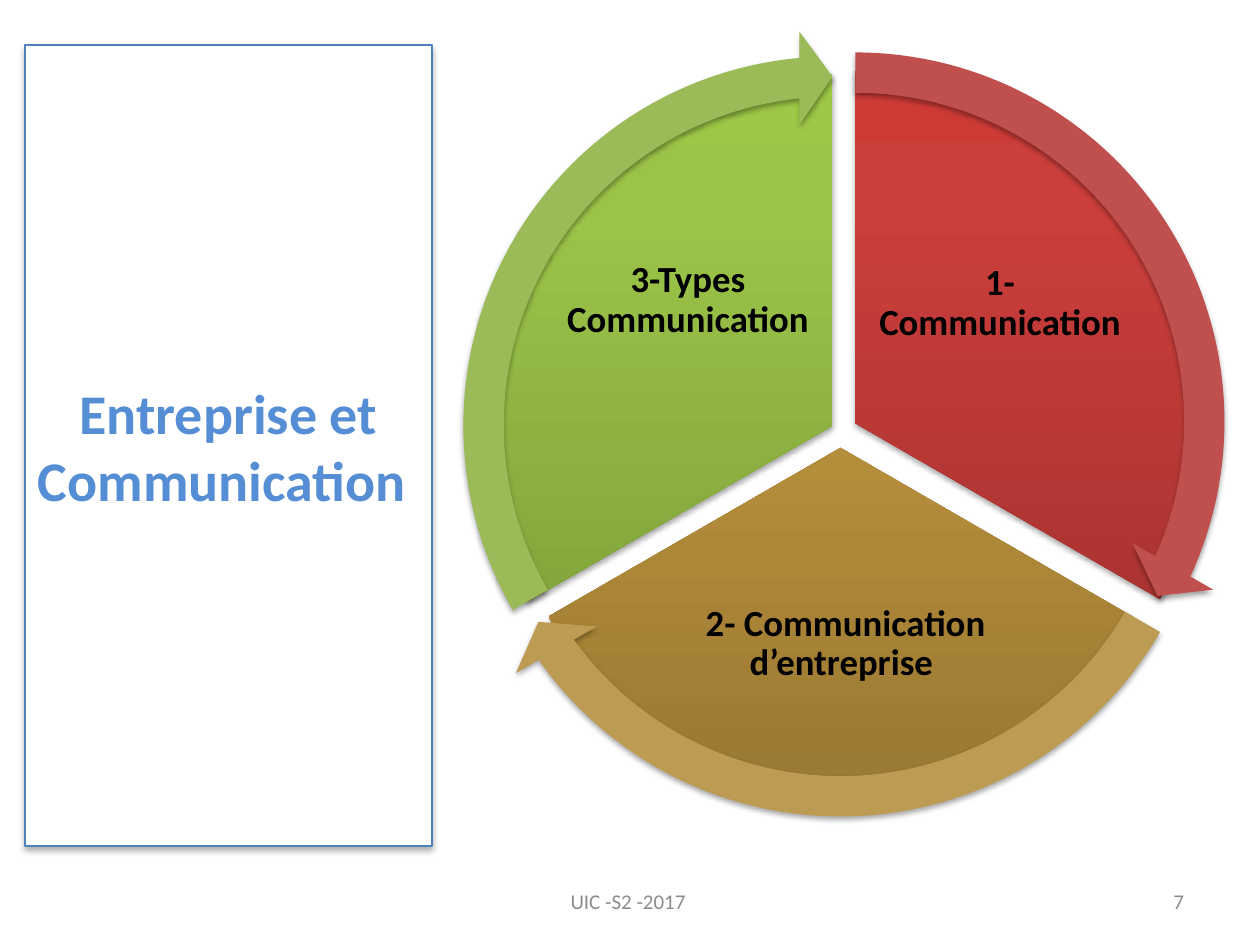
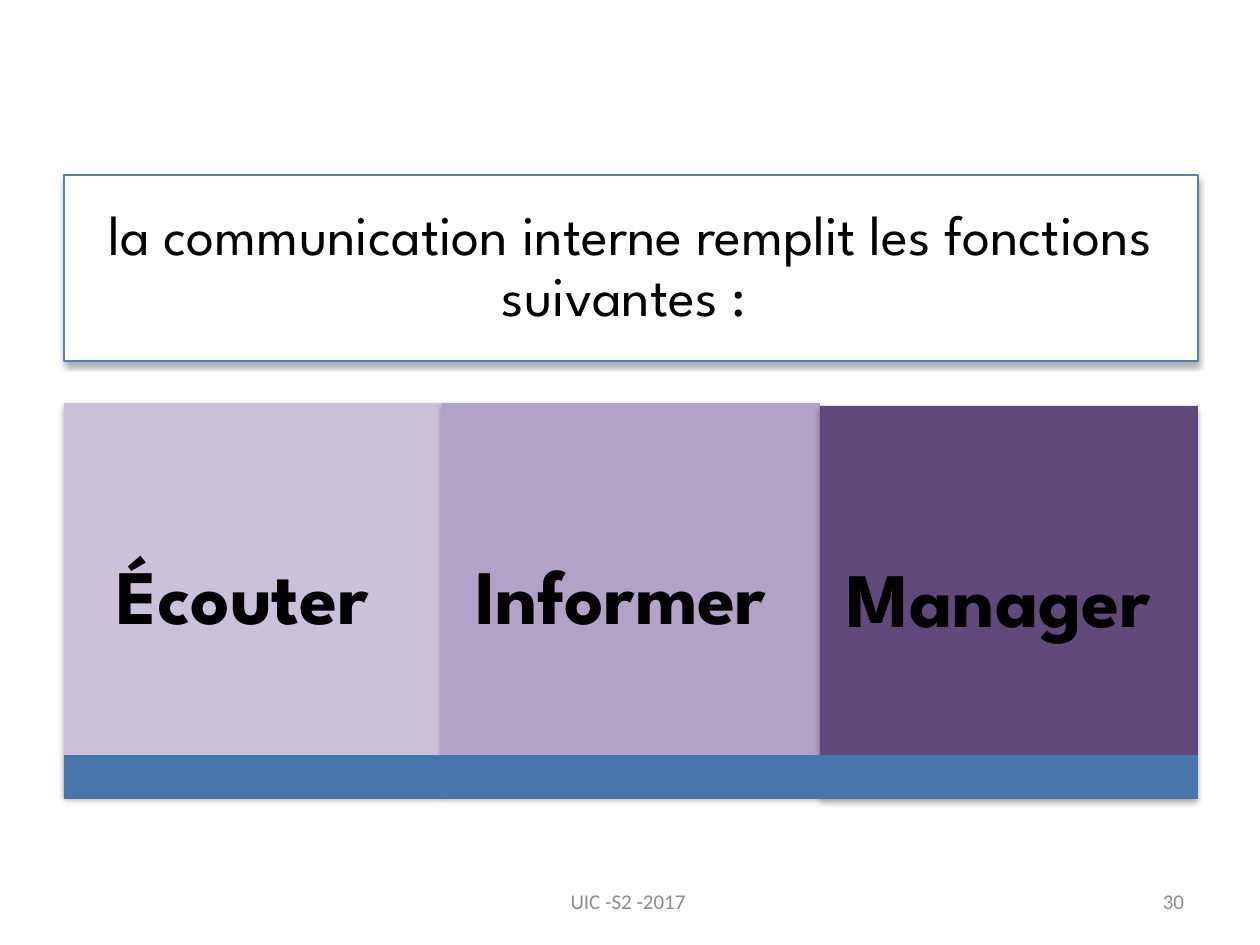
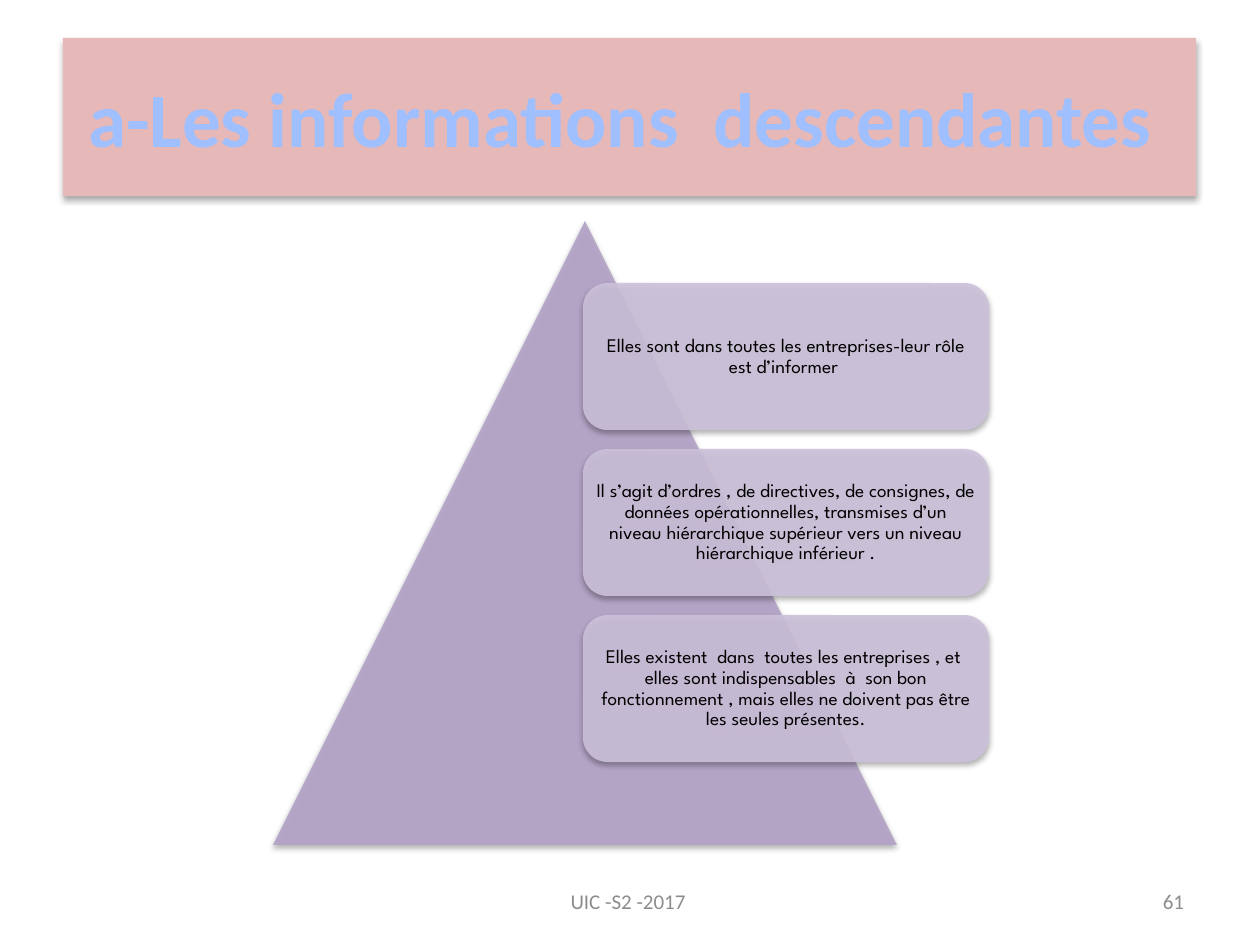
"""Build three slides on business communication."""
import copy

import pptx
import pptx.dml.color
import pptx.enum.shapes
import pptx.enum.text
import pptx.oxml.ns
import pptx.util
from lxml import etree

PX = 914400 / 126
C = {
    "white": "FFFFFF", "black": "000000", "grey": "8C8C8C",
    "border": "4F81BD", "title": "558ED5", "bar": "4875AC",
    "pink": "E6B9B8", "sky": "9FBFFF",
    "lilac": "CCC1DA", "mauve": "B3A2C7", "plum": "604A7B",
    "red": "C0504D", "ochre": "BD9B53", "green": "9BBB59",
}
BODY, DISPLAY = "Calibri", "League Spartan"
SHAPE = pptx.enum.shapes.MSO_SHAPE
ALIGN = pptx.enum.text.PP_ALIGN
RGB = pptx.dml.color.RGBColor.from_string
qn = pptx.oxml.ns.qn


def add_shape(s, kind, box, fill=None, line=None, alpha=None, shadow=(32, 3.5, 2.2)):
    sp = s.shapes.add_shape(kind, *[round(v * PX) for v in box])
    if fill:
        sp.fill.solid()
        sp.fill.fore_color.rgb = RGB(fill)
    if alpha:
        clr = sp._element.spPr.find(qn("a:solidFill"))[0]
        etree.SubElement(clr, qn("a:alpha"), val=str(alpha * 1000))
    if line:
        sp.line.color.rgb = RGB(line)
        sp.line.width = pptx.util.Pt(0.75)
    else:
        sp.line.fill.background()
    sp.shadow.inherit = False
    if shadow:
        opacity, blur, dist = shadow
        effects = sp._element.spPr.find(qn("a:effectLst"))
        outer = etree.SubElement(
            effects, qn("a:outerShdw"), blurRad=str(round(blur * 12700)),
            dist=str(round(dist * 12700)), dir="5400000", rotWithShape="0")
        clr = etree.SubElement(outer, qn("a:srgbClr"), val=C["black"])
        etree.SubElement(clr, qn("a:alpha"), val=str(opacity * 1000))
    return sp


def write(sp, text, size, font=BODY, color="black", bold=False,
          align=ALIGN.CENTER, inset=(13, 6), spacing=0.9):
    tf = sp.text_frame
    tf.word_wrap = True
    tf.vertical_anchor = pptx.enum.text.MSO_ANCHOR.MIDDLE
    tf.margin_left = tf.margin_right = round(inset[0] * PX)
    tf.margin_top = tf.margin_bottom = round(inset[1] * PX)
    tf.text = text
    p = tf.paragraphs[0]
    p.alignment = align
    p.line_spacing = spacing
    r = p.runs[0]
    r.font.size = pptx.util.Pt(size)
    r.font.name = font
    r.font.bold = bold
    r.font.color.rgb = RGB(C[color])


prs = pptx.Presentation()
prs.slide_width = round(1260 * PX)
prs.slide_height = round(945 * PX)

slides = []
for number in ("7", "30", "61"):
    s = prs.slides.add_slide(prs.slide_layouts[6])
    slides.append(s)
    for text, x, w, align in (("UIC -S2 -2017 ", 431, 399, ALIGN.CENTER),
                              (number, 903, 294, ALIGN.RIGHT)):
        sp = s.shapes.add_textbox(*[round(v * PX) for v in (x, 876, w, 50)])
        write(sp, text, 12, color="grey", align=align, spacing=1.0)

s = slides[0]
sp = add_shape(s, SHAPE.RECTANGLE, (25, 45, 407, 801), C["white"], C["border"])
write(sp, "Entreprise et Communication ", 32, color="title", bold=True, spacing=1.0)

cycle_shadow = (35, 3.1, 1.8)
sectors = [
    ("1-Communication", (503, 71, 704, 704), (162, 18),
     ("9C2F2D", "CB3E3A", "CE3B37"), (874, 199, 252, 209)),
    ("2- Communication d’entreprise ", (508, 96, 665, 704), (18, 90),
     ("997832", "C79C41", "CB9D3F"), (667, 552, 357, 184)),
    ("3-Types Communication", (480, 74, 704, 704), (90, 162),
     ("779737", "9BC348", "9DC746"), (562, 196, 252, 209)),
]
for text, box, angles, colors, text_box in sectors:
    sp = add_shape(s, SHAPE.PIE, box, shadow=cycle_shadow)
    for i, angle in enumerate(angles):
        sp.adjustments[i] = angle
    sp.fill.gradient()
    sp.fill.gradient_angle = 90
    gs = sp._element.spPr.find(".//" + qn("a:gs"))
    gs.addnext(copy.deepcopy(gs))
    for stop, color, position in zip(sp.fill.gradient_stops, colors, (0, 0.8, 1)):
        stop.color.rgb = RGB(color)
        stop.position = position
    sp = s.shapes.add_textbox(*[round(v * PX) for v in text_box])
    write(sp, text, 21, bold=True, inset=(4, 4))

arrows = [("red", 460, 26, 14.725, 161.994),
          ("ochre", 445, 52, 86.72, 18.005),
          ("green", 437, 30, 158.73, 90)]
for color, x, y, end, start in arrows:
    sp = add_shape(s, SHAPE.CIRCULAR_ARROW, (x, y, 791, 791), C[color],
                   shadow=cycle_shadow)
    for i, value in enumerate((0.051, 3.275, end, start, 0.059)):
        sp.adjustments[i] = value

s = slides[1]
sp = add_shape(s, SHAPE.RECTANGLE, (64, 175, 1134, 186), C["white"], C["border"])
write(sp, "la communication interne remplit les fonctions suivantes : ", 32,
      DISPLAY, inset=(16, 16))
functions = [("Écouter ", "lilac", 403), ("Informer ", "mauve", 403),
             ("Manager ", "plum", 406)]
for i, (text, color, y) in enumerate(functions):
    sp = add_shape(s, SHAPE.RECTANGLE, (64 + 378 * i, y, 378, 393), C[color])
    write(sp, text, 44, DISPLAY, bold=True, inset=(23, 23))
add_shape(s, SHAPE.RECTANGLE, (64, 755, 1134, 44), C["bar"], shadow=None)

s = slides[2]
sp = add_shape(s, SHAPE.RECTANGLE, (63, 38, 1133, 158), C["pink"])
write(sp, "a-Les informations  descendantes ", 44, color="sky", bold=True, spacing=1.0)
add_shape(s, SHAPE.ISOSCELES_TRIANGLE, (273, 221, 624, 624), C["mauve"], alpha=90)
cards = [
    "Elles sont dans toutes les entreprises-leur rôle est d’informer ",
    "Il s’agit d’ordres , de directives, de consignes, de données opérationnelles, "
    "transmises d’un niveau hiérarchique supérieur vers un niveau hiérarchique "
    "inférieur .",
    "Elles existent  dans  toutes les entreprises , et  elles sont indispensables  à  "
    "son bon fonctionnement , mais elles ne doivent pas être les seules présentes.",
]
for i, text in enumerate(cards):
    sp = add_shape(s, SHAPE.ROUNDED_RECTANGLE, (583, 283 + 166 * i, 406, 147),
                   C["lilac"], alpha=90)
    write(sp, text, 11, DISPLAY, inset=(6, 6))

prs.save("out.pptx")
